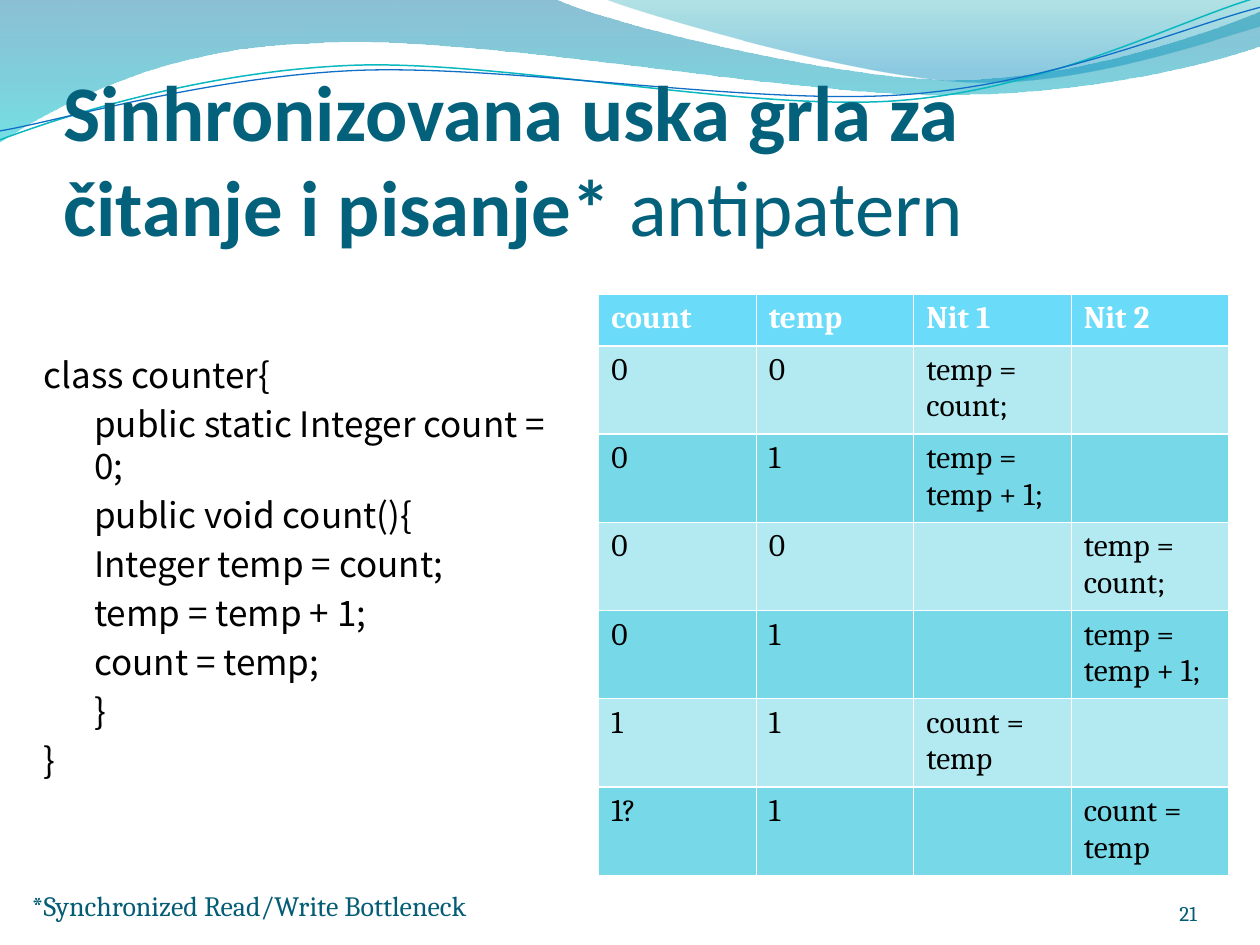
from dataclasses import dataclass

from lxml import etree
from pptx import Presentation
from pptx.dml.color import RGBColor
from pptx.enum import text as txt
from pptx.oxml import ns
from pptx.util import Cm, Pt

INK, BLACK, WHITE = "045D75", "000000", "FFFFFF"


@dataclass
class Wave:
    """Outline in cm: one point per segment is a line, three are a Bézier curve."""
    start: tuple
    segments: list
    stops: tuple = ()  # (position %, colour, opacity %)
    line: str = ""
    line_width: float = 0


@dataclass
class Style:
    font: str
    size: float
    color: str
    bold: bool = False


WAVES = [
    Wave((0, 0), [
        [(11.18, -0.03)],
        [(12.09, 0.43), (16.87, 1.6), (19.25, 1.6)],
        [(21.67, 1.6), (24.33, 0.66), (25.4, 0.23)],
        [(25.43, 0.91)],
        [(24.97, 1.12), (22.1, 1.93), (18.95, 1.91)],
        [(15.8, 1.91), (9.7, 0.71), (6.53, 0.86)],
        [(3.28, 0.91), (1.17, 2.11), (-0.03, 2.87)],
        [(0, 0)],
    ], stops=((0, "0074A1", 45), (100, "00C6CF", 55))),
    Wave((12.17, -0.03), [
        [(12.93, 0.28), (17.32, 1.57), (19.53, 1.65)],
        [(21.74, 1.75), (24.41, 0.81), (25.4, 0.53)],
        [(25.4, 0)],
        [(12.17, -0.03)],
    ], stops=((0, "00A1A9", 30), (80, "008BBF", 45))),
    Wave((0, 2.82), [
        [(1.22, 2.36), (4.01, 1.45), (7.04, 1.32)],
        [(10.03, 1.19), (15.06, 2.26), (18.11, 2.03)],
        [(21.16, 1.8), (23.83, 0.38), (25.35, -0.05)],
    ], line="0AB8BF", line_width=0.85),
    Wave((0, 2.64), [
        [(1.19, 2.44), (4.17, 1.55), (7.19, 1.42)],
        [(10.24, 1.3), (15.16, 2.13), (18.21, 1.91)],
        [(21.23, 1.7), (23.9, 0.53), (25.4, 0.15)],
    ], line="0F6FC6", line_width=0.75),
]

CODE = [
    (0, "class counter{"),
    (1, "public static Integer count = 0;"),
    (1, "public void count(){"),
    (1, "Integer temp = count;"),
    (1, "temp = temp + 1;"),
    (1, "count = temp;"),
    (1, "}"),
    (0, "}"),
]

TRACE = [
    ("count", "temp", "Nit 1", "Nit 2"),
    ("0", "0", "temp = count;", ""),
    ("0", "1", "temp = temp + 1;", ""),
    ("0", "0", "", "temp = count;"),
    ("0", "1", "", "temp = temp + 1;"),
    ("1", "1", "count = temp", ""),
    ("1?", "1", "", "count = temp"),
]
HEADER_FILL, BAND_FILLS = "6BDBFA", ("77D9E8", "B3EAF2")


def rgb(value: str) -> RGBColor:
    return RGBColor.from_string(value)


def add_node(parent, tag: str, **attributes):
    return etree.SubElement(parent, ns.qn(tag), {k: str(v) for k, v in attributes.items()})


def add_wave(slide, wave: Wave) -> None:
    builder = slide.shapes.build_freeform(*map(Cm, wave.start))
    points = [(Cm(x), Cm(y)) for segment in wave.segments for x, y in segment]
    builder.add_line_segments(points, close=bool(wave.stops))
    shape = builder.convert_to_shape()
    bend(shape, wave.segments)
    shape.shadow.inherit = False
    shape.fill.background()
    if wave.stops:
        shape.line.fill.background()
        fade_down(shape, wave.stops)
    else:
        shape.line.color.rgb = rgb(wave.line)
        shape.line.width = Pt(wave.line_width)


def bend(shape, segments: list) -> None:
    """Join the line steps of each three-point segment into one cubic curve."""
    steps = iter(list(shape.element.iter(ns.qn("a:lnTo"))))
    for segment in segments:
        first, *others = [next(steps) for _ in segment]
        if others:
            curve = etree.Element(ns.qn("a:cubicBezTo"))
            first.addprevious(curve)
            for step in (first, *others):
                curve.append(step[0])
                step.getparent().remove(step)


def fade_down(shape, stops: tuple) -> None:
    """Fill with a top-to-bottom gradient of translucent colours."""
    properties = shape.element.spPr
    gradient = etree.Element(ns.qn("a:gradFill"), rotWithShape="1")
    stop_list = add_node(gradient, "a:gsLst")
    for position, color, opacity in stops:
        stop = add_node(stop_list, "a:gs", pos=position * 1000)
        add_node(add_node(stop, "a:srgbClr", val=color), "a:alpha", val=opacity * 1000)
    add_node(gradient, "a:lin", ang=90 * 60000, scaled=0)
    properties.replace(properties.find(ns.qn("a:noFill")), gradient)


def add_run(paragraph, content: str, style: Style) -> None:
    run = paragraph.add_run()
    run.text = content
    run.font.name = style.font
    run.font.size = Pt(style.size)
    run.font.bold = style.bold
    run.font.color.rgb = rgb(style.color)


def add_frame(slide, box: tuple, insets: tuple = (0, 0, 0, 0),
              anchor=txt.MSO_ANCHOR.BOTTOM):
    frame = slide.shapes.add_textbox(*map(Cm, box)).text_frame
    frame.word_wrap = True
    frame.vertical_anchor = anchor
    (frame.margin_left, frame.margin_top,
     frame.margin_right, frame.margin_bottom) = map(Cm, insets)
    return frame


def add_title(slide) -> None:
    bold = Style("Calibri", 45, "04617B", bold=True)
    heading = add_frame(slide, (1.28, 1.9, 22.86, 3.18), (0, 0.13, 0, 0)).paragraphs[0]
    add_run(heading, "Sinhronizovana uska grla za", bold)
    heading.add_line_break()
    add_run(heading, "čitanje i pisanje* ", bold)
    add_run(heading, "antipatern", Style("Calibri", 45, "04617B"))


def add_code(slide) -> None:
    frame = add_frame(slide, (0.63, 7, 11.23, 9.73), (0.25, 0.13, 0.25, 0.13),
                      txt.MSO_ANCHOR.TOP)
    for index, (level, content) in enumerate(CODE):
        line = frame.add_paragraph() if index else frame.paragraphs[0]
        line.level = level
        line.space_before = Pt(4 if index else 0)
        line._p.get_or_add_pPr().set("marL", str(Cm(1.02) * level))
        add_run(line, content, Style("Noto Sans CJK JP", 20, BLACK))


def add_trace(slide) -> None:
    """Table whose white rules come from the default table style."""
    table = slide.shapes.add_table(len(TRACE), len(TRACE[0]), Cm(12.07), Cm(5.93),
                                   Cm(12.7), Cm(7.28)).table
    for row, values in enumerate(TRACE):
        header = row == 0
        style = Style("Cambria", 18, WHITE if header else BLACK, bold=header)
        for column, value in enumerate(values):
            cell = table.cell(row, column)
            cell.fill.solid()
            cell.fill.fore_color.rgb = rgb(HEADER_FILL if header else BAND_FILLS[row % 2])
            if value:
                add_run(cell.text_frame.paragraphs[0], value, style)


def main() -> None:
    deck = Presentation()
    deck.slide_width, deck.slide_height = Cm(25.4), Cm(19.05)
    slide = deck.slides.add_slide(deck.slide_layouts[6])
    for wave in WAVES:
        add_wave(slide, wave)
    add_title(slide)
    add_code(slide)
    add_trace(slide)
    page = add_frame(slide, (22.02, 17.65, 2.11, 1.02)).paragraphs[0]
    page.alignment = txt.PP_ALIGN.RIGHT
    add_run(page, "21", Style("Cambria", 12, INK))
    footnote = add_frame(slide, (0.64, 17.57, 9.32, 1.02)).paragraphs[0]
    add_run(footnote, "*Synchronized Read/Write Bottleneck", Style("Cambria", 16, INK))
    deck.save("out.pptx")


if __name__ == "__main__":
    main()
